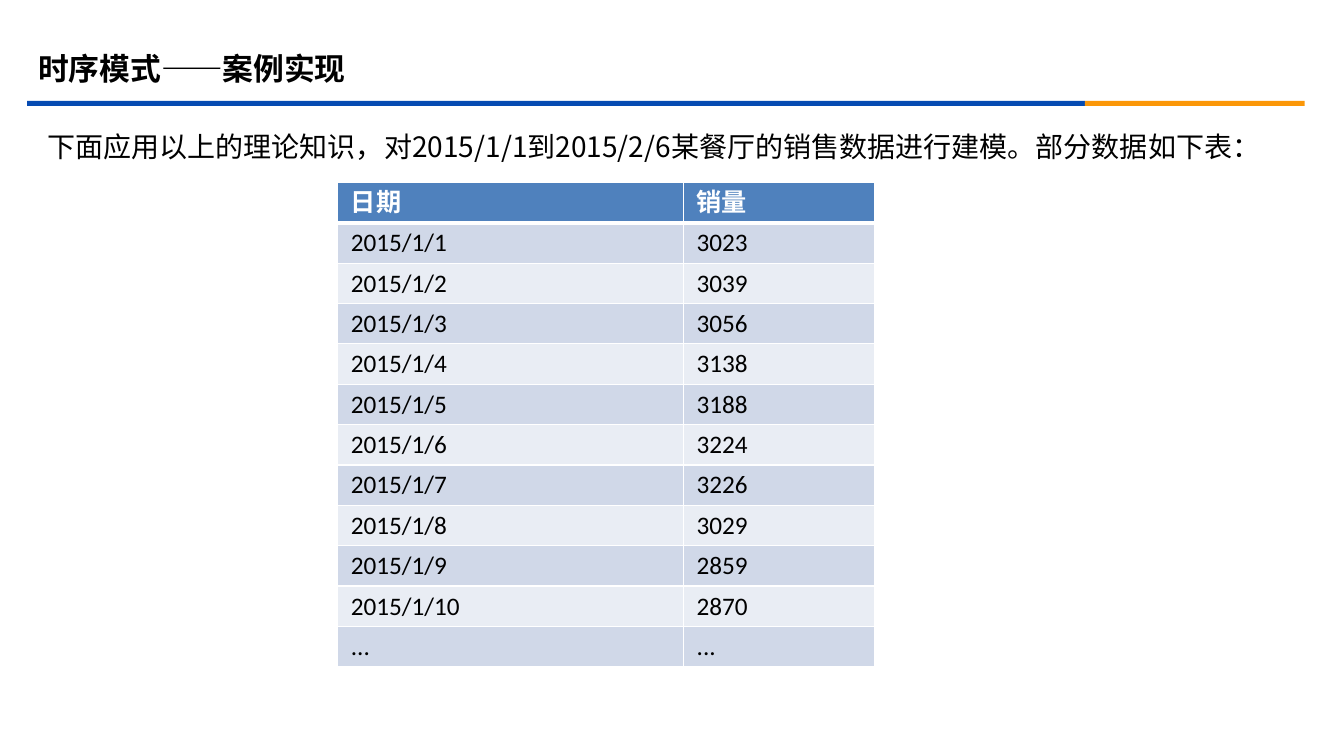
from typing import Any, NamedTuple

from lxml import etree
from pptx import Presentation, util as u
from pptx.dml.color import RGBColor
from pptx.enum import shapes, text
from pptx.oxml import ns

PX = 9144
SANS = "Noto Sans CJK SC"
BLACK, WHITE, BLUE, ORANGE = "000000", "FFFFFF", "064BB2", "FB9708"
HEADER_FILL, BAND_FILLS = "4F81BD", ("D0D8E8", "E9EDF4")
COLUMN_WIDTHS, ROW_HEIGHT = (343, 189), 40
CELL_MARGINS = {"margin_left": 13, "margin_right": 13, "margin_top": 5, "margin_bottom": 5}
SALES = (3023, 3039, 3056, 3138, 3188, 3224, 3226, 3029, 2859, 2870)
ROWS = [
    ("日期", "销量"),
    *((f"2015/1/{day}", str(amount)) for day, amount in enumerate(SALES, 1)),
    ("...", "..."),
]


class Box(NamedTuple):
    left: int
    top: int
    width: int
    height: int


class Bar(NamedTuple):
    box: Box
    color: str


class Style(NamedTuple):
    size: int
    font: str
    color: str = BLACK
    bold: bool = False


class Label(NamedTuple):
    box: Box
    words: str
    style: Style
    frame: dict[str, Any]
    line_spacing: float = 1.0


BARS = (
    Bar(Box(27, 100, 1049, 5), BLUE),
    Bar(Box(1076, 100, 218, 5), ORANGE),
)
LABELS = (
    Label(Box(28, 39, 1200, 58), "时序模式——案例实现", Style(22, SANS, bold=True),
          {"vertical_anchor": text.MSO_ANCHOR.MIDDLE}),
    Label(Box(47, 115, 1271, 47),
          "下面应用以上的理论知识，对2015/1/1到2015/2/6某餐厅的销售数据进行建模。部分数据如下表：",
          Style(20, SANS),
          {"margin_left": 0, "margin_top": 0, "margin_right": 0, "margin_bottom": 0}, 1.4),
)


def px(length: int) -> u.Emu:
    """Turn pixels into EMU."""
    return u.Emu(length * PX)


def place(box: Box) -> tuple[u.Emu, ...]:
    """Give the four lengths of a box in EMU."""
    return tuple(px(length) for length in box)


def paint(target: Any, color: str) -> None:
    """Fill a shape or cell with a solid colour."""
    target.fill.solid()
    target.fill.fore_color.rgb = RGBColor.from_string(color)


def assign(target: Any, values: dict[str, Any]) -> None:
    """Set each named attribute of the target."""
    for name, value in values.items():
        setattr(target, name, value)


def write(para: Any, words: str, style: Style) -> None:
    """Add a styled span to a paragraph."""
    span = para.add_run()
    span.text = words
    assign(span.font, {"size": u.Pt(style.size), "name": style.font, "bold": style.bold})
    span.font.color.rgb = RGBColor.from_string(style.color)
    east_asian = etree.SubElement(span.font._element, ns.qn("a:ea"))
    east_asian.set("typeface", style.font)


def draw_bar(page: Any, bar: Bar) -> None:
    """Draw one coloured part of the rule below the title."""
    shape = page.shapes.add_shape(shapes.MSO_SHAPE.RECTANGLE, *place(bar.box))
    shape.shadow.inherit = False
    shape.line.fill.background()
    paint(shape, bar.color)


def draw_label(page: Any, label: Label) -> None:
    """Draw one text box."""
    frame = page.shapes.add_textbox(*place(label.box)).text_frame
    assign(frame, {"word_wrap": True, **label.frame})
    para = frame.paragraphs[0]
    para.line_spacing = label.line_spacing
    write(para, label.words, label.style)


def add_border(cell: Any, side: str, points: int) -> None:
    """Add a white border to one side of a cell."""
    properties = cell._tc.get_or_add_tcPr()
    line = etree.SubElement(properties, ns.qn(f"a:ln{side}"), w=str(u.Pt(points)))
    fill = etree.SubElement(line, ns.qn("a:solidFill"))
    etree.SubElement(fill, ns.qn("a:srgbClr"), val=WHITE)


def draw_table(page: Any) -> None:
    """Draw the sales table with its header and banded rows."""
    box = Box(335, 181, sum(COLUMN_WIDTHS), ROW_HEIGHT * len(ROWS))
    table = page.shapes.add_table(len(ROWS), len(COLUMN_WIDTHS), *place(box)).table
    for column, width in zip(table.columns, COLUMN_WIDTHS):
        column.width = px(width)
    for index, values in enumerate(ROWS):
        header = index == 0
        table.rows[index].height = px(ROW_HEIGHT)
        style = Style(18, "Calibri", WHITE if header else BLACK, header)
        borders = {"L": 1, "R": 1, "T": 3 if index == 1 else 1, "B": 3 if header else 1}
        for cell, words in zip(table.rows[index].cells, values):
            assign(cell, {name: px(length) for name, length in CELL_MARGINS.items()})
            write(cell.text_frame.paragraphs[0], words, style)
            for side, points in borders.items():
                add_border(cell, side, points)
            paint(cell, HEADER_FILL if header else BAND_FILLS[(index - 1) % 2])


def main() -> None:
    """Build the slide and save it."""
    deck = Presentation()
    assign(deck, {"slide_width": px(1333), "slide_height": px(750)})
    page = deck.slides.add_slide(deck.slide_layouts[6])
    for bar in BARS:
        draw_bar(page, bar)
    for label in LABELS:
        draw_label(page, label)
    draw_table(page)
    deck.save("out.pptx")


if __name__ == "__main__":
    main()
